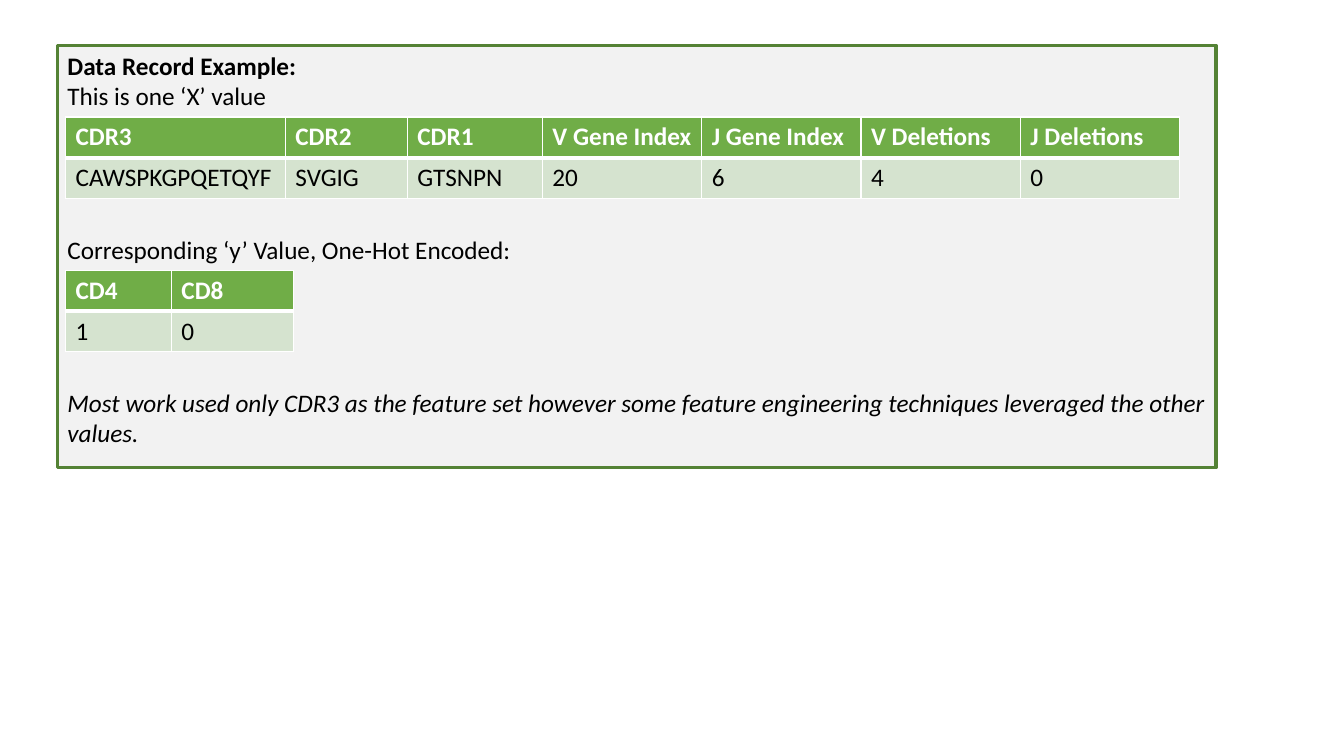
from dataclasses import dataclass

from lxml import etree
from pptx import Presentation
from pptx.dml.color import RGBColor
from pptx.enum.shapes import MSO_SHAPE
from pptx.enum.text import MSO_ANCHOR, PP_ALIGN
from pptx.oxml.ns import qn
from pptx.util import Inches, Pt

RECT = MSO_SHAPE.RECTANGLE
TOP = MSO_ANCHOR.TOP
LEFT = PP_ALIGN.LEFT


@dataclass(frozen=True)
class Theme:
    """Colours, font and sizes in points."""
    font: str = "Calibri"
    size: float = 18
    text: str = "000000"
    light: str = "FFFFFF"
    panel: str = "F2F2F2"
    frame: str = "548235"
    header: str = "70AD47"
    body: str = "D5E3CF"
    frame_width: float = 2.25
    rule: float = 1
    header_rule: float = 3


class SlideBuilder:
    """Draws elements on one slide in one theme."""

    def __init__(self, s, theme):
        """Keep the slide and its theme."""
        self.s = s
        self.theme = theme

    def add_run(self, p, text, color, bold=False, italic=False):
        """Add a styled run to a paragraph."""
        r = p.add_run()
        r.text = text
        r.font.name = self.theme.font
        r.font.size = Pt(self.theme.size)
        r.font.bold = bold
        r.font.italic = italic
        r.font.color.rgb = RGBColor.from_string(color)

    def panel(self, x, y, w, h, paragraphs):
        """Add a framed panel; paragraphs are (text, space before, style)."""
        t = self.theme
        sp = self.s.shapes.add_shape(RECT, Inches(x), Inches(y), Inches(w), Inches(h))
        sp.shadow.inherit = False
        sp.fill.solid()
        sp.fill.fore_color.rgb = RGBColor.from_string(t.panel)
        sp.line.color.rgb = RGBColor.from_string(t.frame)
        sp.line.width = Pt(t.frame_width)
        tf = sp.text_frame
        tf.word_wrap = True
        tf.vertical_anchor = TOP
        for i, (text, before, style) in enumerate(paragraphs):
            p = tf.add_paragraph() if i else tf.paragraphs[0]
            p.alignment = LEFT
            p.space_before = Pt(before)
            self.add_run(p, text, t.text, **style)

    def border(self, cell, side, width):
        """Draw one cell border: side is L, R, T or B."""
        tc_pr = cell._tc.get_or_add_tcPr()
        ln = etree.SubElement(tc_pr, qn(f"a:ln{side}"), w=str(Pt(width)))
        fill = etree.SubElement(ln, qn("a:solidFill"))
        etree.SubElement(fill, qn("a:srgbClr"), val=self.theme.light)

    def table(self, x, y, widths, row_height, rows):
        """Add a table whose first row is the header."""
        t = self.theme
        frame = self.s.shapes.add_table(
            len(rows), len(widths), Inches(x), Inches(y),
            Inches(sum(widths)), Inches(row_height * len(rows)))
        table = frame.table
        table.horz_banding = False
        for column, width in zip(table.columns, widths):
            column.width = Inches(width)
        for i, values in enumerate(rows):
            table.rows[i].height = Inches(row_height)
            is_header = i == 0
            top = t.header_rule if i == 1 else t.rule
            bottom = t.header_rule if is_header else t.rule
            for j, value in enumerate(values):
                cell = table.cell(i, j)
                for side, width in zip("LRTB", (t.rule, t.rule, top, bottom)):
                    self.border(cell, side, width)
                cell.fill.solid()
                cell.fill.fore_color.rgb = RGBColor.from_string(
                    t.header if is_header else t.body)
                self.add_run(cell.text_frame.paragraphs[0], value,
                             t.light if is_header else t.text, bold=is_header)


TABLE_LEFT = 0.65
ROW_HEIGHT = 0.405
TABLE_GAP = 88  # four text lines, in points

NOTES = [
    ("Data Record Example:", 0, {"bold": True}),
    ("This is one ‘X’ value", 0, {}),
    ("Corresponding ‘y’ Value, One-Hot Encoded:", TABLE_GAP, {}),
    ("Most work used only CDR3 as the feature set however some feature "
     "engineering techniques leveraged the other values.", TABLE_GAP, {"italic": True}),
]
FEATURES = [
    ["CDR3", "CDR2", "CDR1", "V Gene Index", "J Gene Index", "V Deletions", "J Deletions"],
    ["CAWSPKGPQETQYF", "SVGIG", "GTSNPN", "20", "6", "4", "0"],
]
LABELS = [["CD4", "CD8"], ["1", "0"]]

prs = Presentation()
prs.slide_width = Inches(13.33)
prs.slide_height = Inches(7.5)
slide = SlideBuilder(prs.slides.add_slide(prs.slide_layouts[6]), Theme())
slide.panel(0.57, 0.45, 11.49, 4.19, NOTES)
slide.table(TABLE_LEFT, 1.16, [2.18, 1.21, 1.34] + [1.58] * 4, ROW_HEIGHT, FEATURES)
slide.table(TABLE_LEFT, 2.68, [1.05, 1.21], ROW_HEIGHT, LABELS)
prs.save("out.pptx")
